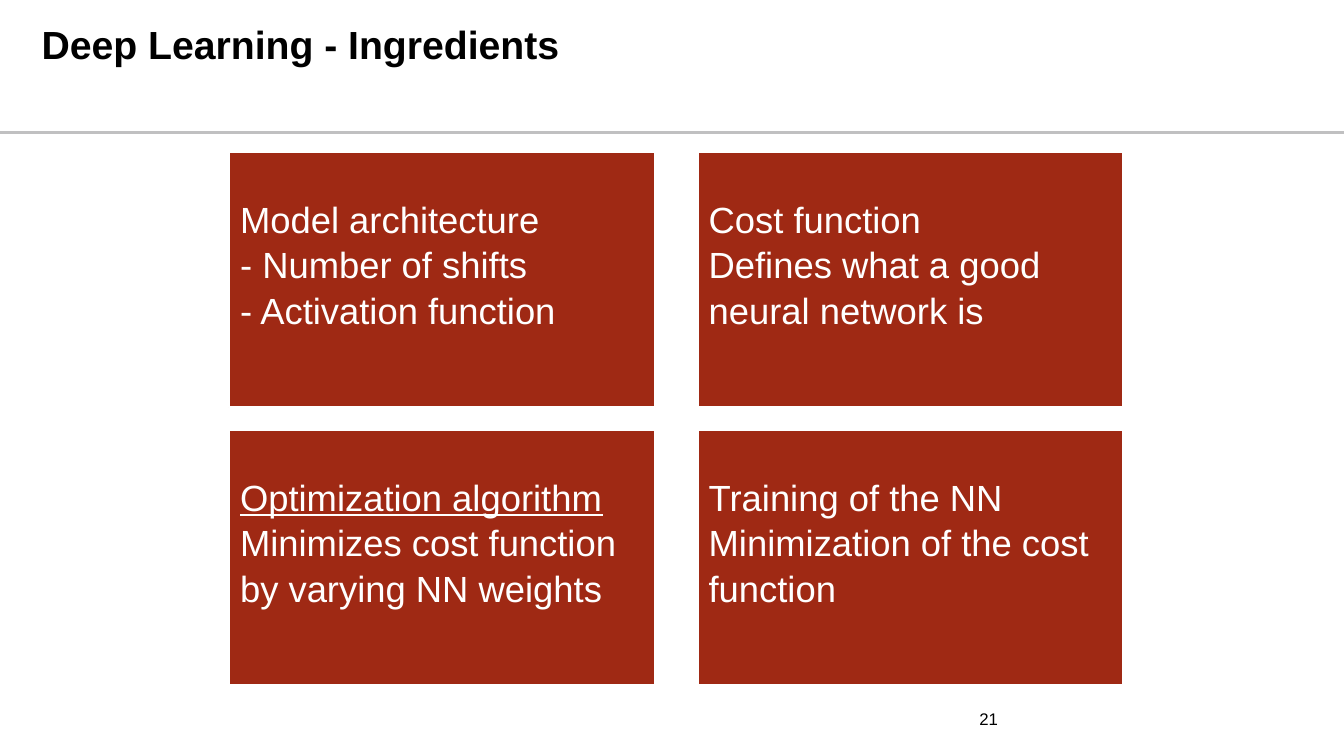
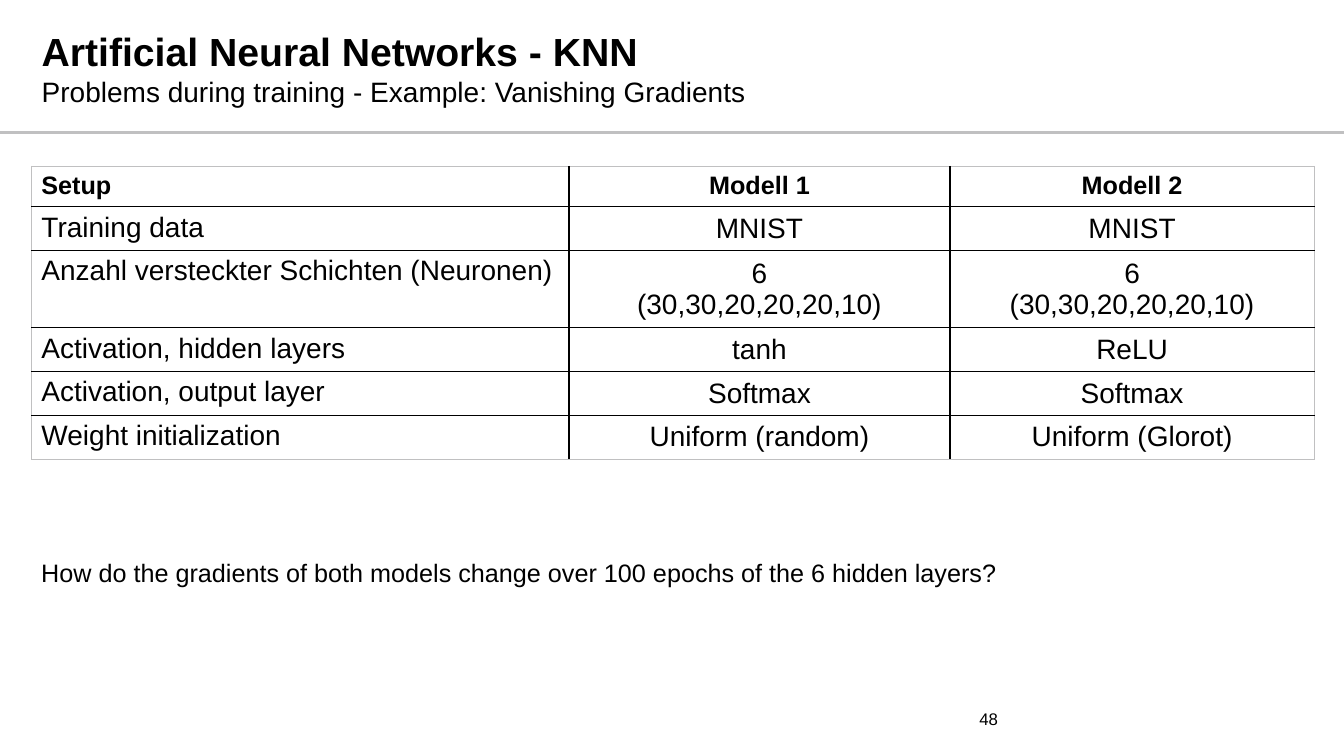
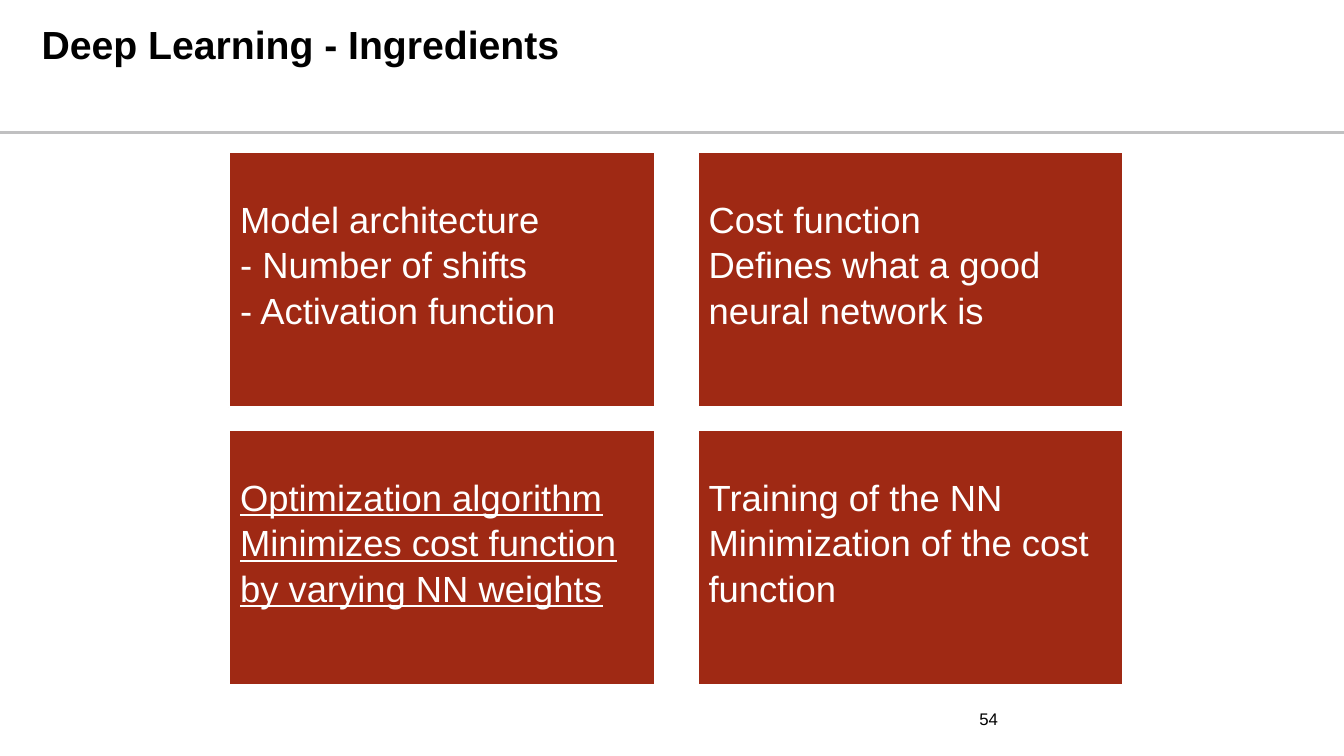
"""Build three slides on deep learning and the training of neural networks."""
from dataclasses import dataclass

from lxml.etree import SubElement
from pptx import Presentation
from pptx.dml.color import RGBColor
from pptx.enum.shapes import MSO_CONNECTOR, MSO_SHAPE
from pptx.enum.text import MSO_ANCHOR, MSO_AUTO_SIZE, PP_ALIGN
from pptx.oxml import parse_xml
from pptx.oxml.ns import nsdecls, qn
from pptx.util import Cm, Pt

FONT = "Arial"
HUES = {"ink": "000000", "paper": "FFFFFF", "brick": "9F2914", "rule": "C0C0C1"}
WIDE, HIGH = 33.87, 19.05


@dataclass(frozen=True)
class Card:
    lines: tuple[str, ...]
    under: int = 0


@dataclass(frozen=True)
class Head:
    title: str
    page: int
    top: float
    sub: str = ""


def hue(name: str) -> RGBColor:
    return RGBColor.from_string(HUES[name])


def style(para, size: float, color: str = "ink", bold: bool = False, under: bool = False) -> None:
    for run in para.runs:
        font = run.font
        font.name, font.size = FONT, Pt(size)
        font.bold, font.underline = bold, under
        font.color.rgb = hue(color)


def inset(frame, left: float, top: float, right: float, base: float) -> None:
    frame.margin_left, frame.margin_top = Cm(left), Cm(top)
    frame.margin_right, frame.margin_bottom = Cm(right), Cm(base)


def add_text(slide, text: str, spot: tuple, size: float):
    frame = slide.shapes.add_textbox(*map(Cm, spot)).text_frame
    frame.word_wrap = True
    frame.text = text
    style(frame.paragraphs[0], size)
    return frame


def add_slide(deck, head: Head):
    slide = deck.slides.add_slide(deck.slide_layouts[5])
    title = slide.shapes.title
    title.left, title.top, title.width, title.height = map(Cm, (0.69, 0.15, 26.8, 2.9))
    frame = title.text_frame
    frame.auto_size = MSO_AUTO_SIZE.NONE
    frame.vertical_anchor = MSO_ANCHOR.TOP
    inset(frame, 0.36, head.top, 0.36, 0)
    frame.text = head.title
    style(frame.paragraphs[0], 28, bold=True)
    if head.sub:
        para = frame.add_paragraph()
        para.text = head.sub
        style(para, 20)
    for para in frame.paragraphs:
        para.alignment = PP_ALIGN.LEFT
    page = add_text(slide, str(head.page), (23.5, 17.6, 1.98, 1.02), 12)
    page.vertical_anchor = MSO_ANCHOR.MIDDLE
    inset(page, 0.33, 0.18, 0.33, 0.18)
    page.paragraphs[0].alignment = PP_ALIGN.RIGHT
    return slide


def add_rule(slide) -> None:
    rule = slide.shapes.add_connector(MSO_CONNECTOR.STRAIGHT, Cm(0), Cm(3.33), Cm(WIDE), Cm(3.33))
    rule.line.color.rgb = hue("rule")
    rule.line.width = Pt(2.25)
    SubElement(rule.element.spPr, qn("a:effectLst"))
    slide.slide_layout.shapes.element.append(rule.element)


def add_cards(slide, under: int) -> None:
    cards = (
        Card(("Model architecture", "- Number of shifts", "- Activation function")),
        Card(("Cost function", "Defines what a good neural network is")),
        Card(("Optimization algorithm", "Minimizes cost function by varying NN weights"), under),
        Card(("Training of the NN", "Minimization of the cost function")),
    )
    for spot, card in enumerate(cards):
        row, col = divmod(spot, 2)
        box = slide.shapes.add_shape(
            MSO_SHAPE.RECTANGLE, Cm(5.77 + 11.81 * col), Cm(3.81 + 7.01 * row), Cm(10.74), Cm(6.45))
        box.shadow.inherit = False
        box.fill.solid()
        box.fill.fore_color.rgb = hue("brick")
        box.line.color.rgb = hue("paper")
        box.line.width = Pt(2)
        frame = box.text_frame
        frame.word_wrap = True
        frame.vertical_anchor = MSO_ANCHOR.TOP
        inset(frame, 0.28, 1.11, 0.28, 0.28)
        frame.text = "\n".join(card.lines)
        for rank, para in enumerate(frame.paragraphs):
            para.alignment = PP_ALIGN.LEFT
            para.line_spacing = 1.04
            style(para, 26, "paper", under=rank < card.under)


def add_edge(cell, side: str, color: str, width: float) -> None:
    edge = parse_xml(
        f'<a:ln{side} {nsdecls("a")} w="{Pt(width)}"><a:solidFill>'
        f'<a:srgbClr val="{HUES[color]}"/></a:solidFill></a:ln{side}>')
    cell._tc.get_or_add_tcPr().insert("LRTB".index(side), edge)


def add_grid(slide) -> None:
    rows = (
        ("Setup", "Modell 1", "Modell 2"),
        ("Training data", "MNIST", "MNIST"),
        ("Anzahl versteckter Schichten (Neuronen)",
         "6\v(30,30,20,20,20,10)", "6\v(30,30,20,20,20,10)"),
        ("Activation, hidden layers", "tanh", "ReLU"),
        ("Activation, output layer", "Softmax", "Softmax"),
        ("Weight initialization", "Uniform (random)", "Uniform (Glorot)"),
    )
    wides = (13.55, 9.6, 9.18)
    highs = (0.97, 1.04, 1.83, 1.04, 1.04, 1.04)
    grid = slide.shapes.add_table(
        len(rows), len(wides), Cm(0.79), Cm(4.19), Cm(sum(wides)), Cm(sum(highs))).table
    grid.first_row = grid.horz_banding = False
    for col, wide in enumerate(wides):
        grid.columns[col].width = Cm(wide)
    for row, words in enumerate(rows):
        grid.rows[row].height = Cm(highs[row])
        for col, word in enumerate(words):
            cell = grid.cell(row, col)
            cell.fill.background()
            cell.text_frame.text = word
            para = cell.text_frame.paragraphs[0]
            if col:
                para.alignment = PP_ALIGN.CENTER
            if col and row:
                cell.vertical_anchor = MSO_ANCHOR.MIDDLE
            style(para, 20 if row else 18, bold=not row)
            outer = {"L": col == 0, "R": col == len(wides) - 1,
                     "T": row == 0, "B": row == len(rows) - 1}
            for side, rim in outer.items():
                add_edge(cell, side, "rule" if rim else "ink", 0.5 if rim else 1)


def main() -> None:
    deck = Presentation()
    deck.slide_width, deck.slide_height = Cm(WIDE), Cm(HIGH)
    parts = "Deep Learning - Ingredients"

    first = add_slide(deck, Head(parts, 21, 0.37))
    add_cards(first, under=1)
    add_rule(first)

    setup = add_slide(deck, Head("Artificial Neural Networks - KNN", 48, 0.54,
                                 "Problems during training - Example: Vanishing Gradients"))
    add_grid(setup)
    add_text(setup, "How do the gradients of both models change over 100 epochs "
             "of the 6 hidden layers?", (0.79, 13.92, 30.56, 1.02), 18)

    last = add_slide(deck, Head(parts, 54, 0.37))
    add_cards(last, under=2)

    deck.save("out.pptx")


if __name__ == "__main__":
    main()
